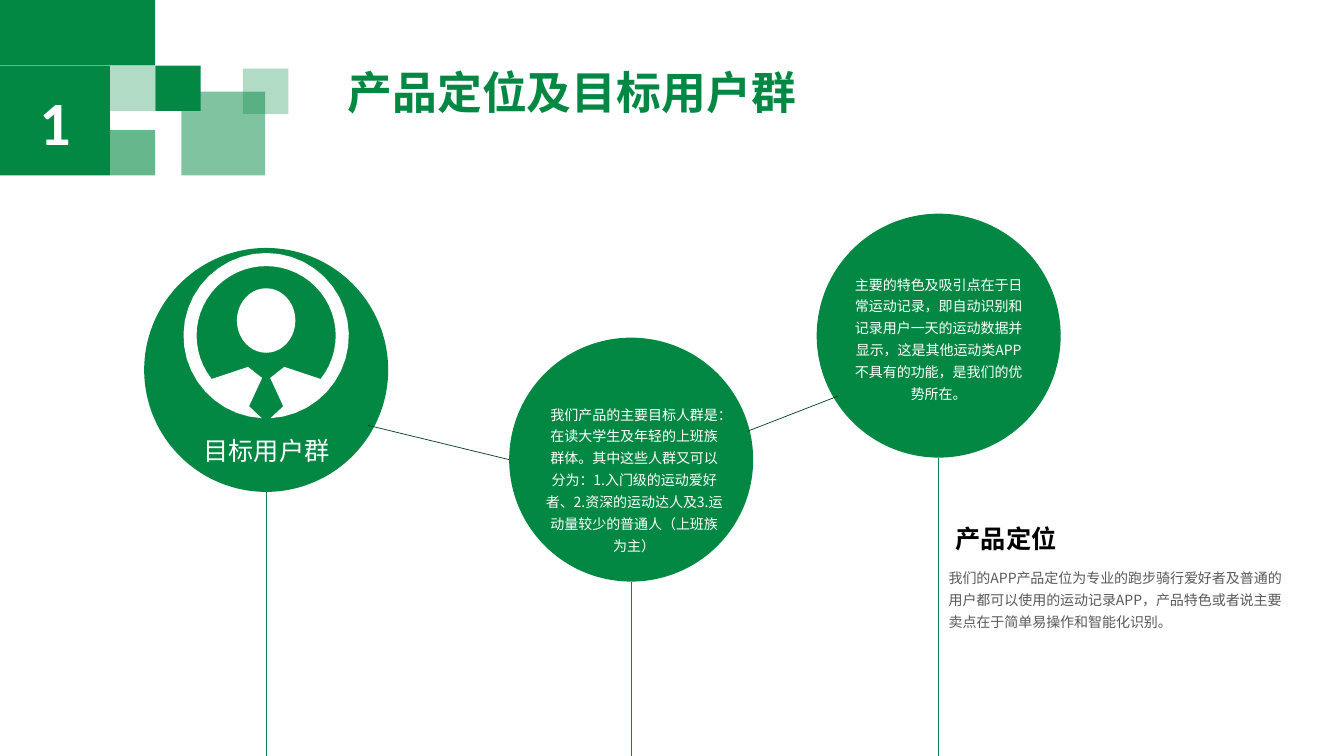
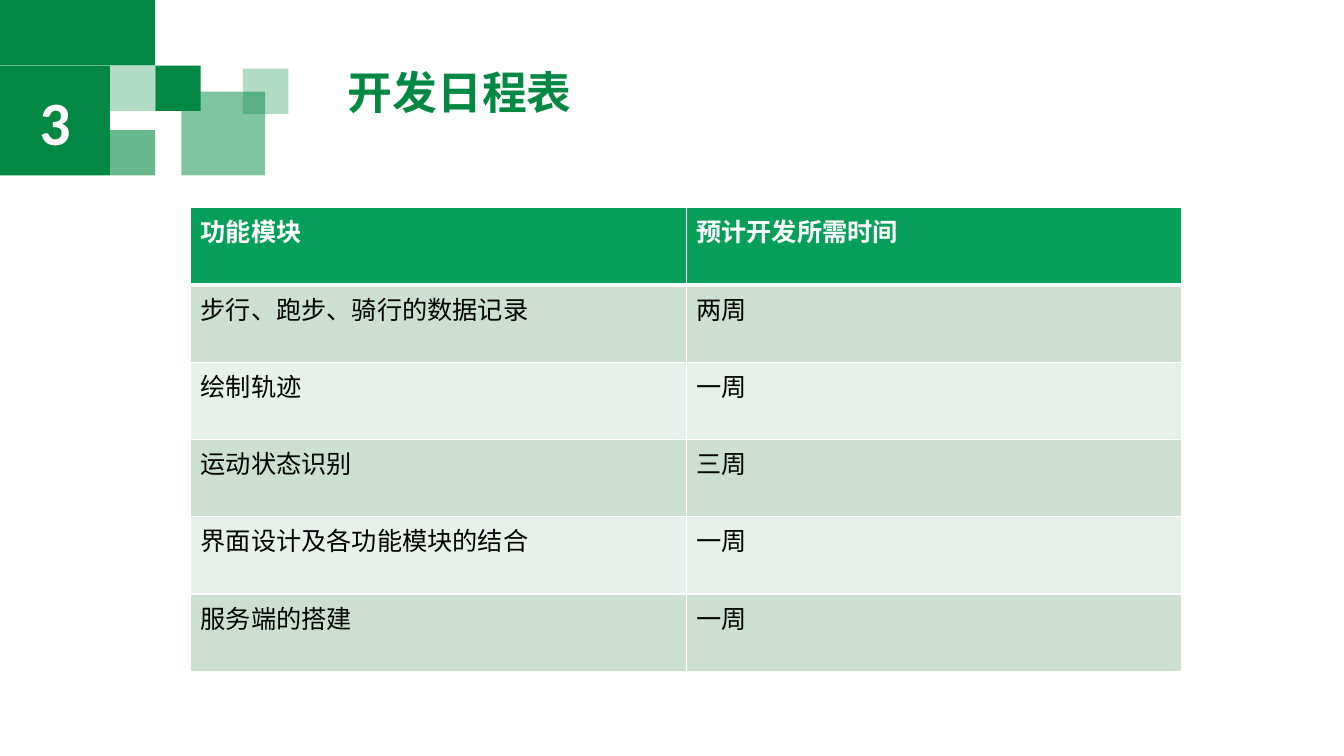
"""Build two slides of a sports app plan: its audience and its schedule."""
from dataclasses import dataclass
from math import cos, radians, sin

from lxml import etree
from pptx import Presentation
from pptx import util as u
from pptx.dml import color
from pptx.enum import shapes, text
from pptx.oxml import ns


@dataclass(frozen=True)
class Theme:
    """Colours, fonts and type sizes in points."""
    green: str = "028842"
    dark_green: str = "01411F"
    header: str = "059F59"
    bands: tuple[str, str] = ("CCDFD1", "E7F0EA")
    white: str = "FFFFFF"
    black: str = "000000"
    grey: str = "595959"
    chinese: str = "Noto Sans CJK SC"
    latin: str = "Calibri"
    number: int = 44
    title: int = 32
    label: int = 18
    body: int = 10


@dataclass(frozen=True)
class Area:
    """A rectangle in inches."""
    left: float
    top: float
    width: float
    height: float

    def lengths(self) -> list[u.Length]:
        """Return the rectangle as lengths."""
        return [u.Inches(n) for n in (self.left, self.top, self.width, self.height)]


@dataclass(frozen=True)
class Tile:
    """A header square and its opacity in percent."""
    area: Area
    opacity: int = 100


@dataclass(frozen=True)
class Style:
    """How a paragraph is set."""
    size: int
    colour: str
    font: str
    bold: bool = False
    align: text.PP_ALIGN = text.PP_ALIGN.LEFT
    spacing: float = 1.0


THEME = Theme()
LEFT, CENTRE = text.PP_ALIGN.LEFT, text.PP_ALIGN.CENTER
TITLE = Style(THEME.title, THEME.green, THEME.chinese, True, spacing=0.9)
NUMBER = Style(THEME.number, THEME.white, THEME.latin, True, CENTRE)
BUBBLE = Style(THEME.body, THEME.white, THEME.chinese, align=CENTRE, spacing=1.3)
BODY = Style(THEME.body, THEME.grey, THEME.chinese, spacing=1.3)
LABEL = Style(THEME.label, THEME.white, THEME.chinese)
HEADING = Style(THEME.label, THEME.black, THEME.latin, True, CENTRE)
HEAD_CELL = Style(THEME.label, THEME.white, THEME.latin, True)
BODY_CELL = Style(THEME.label, THEME.black, THEME.latin)

SQUARE = 0.45
TILES = (
    Tile(Area(0, 0, 1.54, 0.65)),
    Tile(Area(1.09, 0.65, SQUARE, SQUARE), 30),
    Tile(Area(1.54, 0.65, SQUARE, SQUARE)),
    Tile(Area(1.09, 1.29, SQUARE, SQUARE), 60),
    Tile(Area(1.8, 0.91, 0.83, 0.83), 50),
    Tile(Area(2.41, 0.68, SQUARE, SQUARE), 30),
)
PAGE_HEIGHT = 7.5
DIAMETER = 2.42
CIRCLES = ((1.43, 2.46), (5.05, 3.35), (8.1, 2.12))
LINKS = (((3.65, 4.22), (5.05, 4.56)), ((7.41, 4.28), (8.31, 3.93)))
NOTES = (
    (Area(5.31, 3.93, 1.96, 1.63), BUBBLE,
     "我们产品的主要目标人群是：在读大学生及年轻的上班族群体。其中这些人群又可以分为："
     "1.入门级的运动爱好者、2.资深的运动达人及3.运动量较少的普通人（上班族为主）"),
    (Area(8.33, 2.64, 1.96, 1.63), BUBBLE,
     "主要的特色及吸引点在于日常运动记录，即自动识别和记录用户一天的运动数据并显示，"
     "这是其他运动类APP不具有的功能，是我们的优势所在。"),
    (Area(9.31, 5.55, 3.55, 0.76), BODY,
     "我们的APP产品定位为专业的跑步骑行爱好者及普通的用户都可以使用的运动记录APP，"
     "产品特色或者说主要卖点在于简单易操作和智能化识别。"),
    (Area(8.76, 5.14, 2.44, 0.4), HEADING, "产品定位"),
    (Area(1.92, 4.27, 1.56, 0.4), LABEL, "目标用户群"),
)
SCHEDULE = (
    ("功能模块", "预计开发所需时间"),
    ("步行、跑步、骑行的数据记录", "两周"),
    ("绘制轨迹", "一周"),
    ("运动状态识别", "三周"),
    ("界面设计及各功能模块的结合", "一周"),
    ("服务端的搭建", "一周"),
)


def rgb(code: str) -> color.RGBColor:
    """Turn a hex code into a colour."""
    return color.RGBColor.from_string(code)


def write(frame, words: str, style: Style) -> None:
    """Put one styled paragraph into a text frame."""
    para = frame.paragraphs[0]
    para.text = words
    para.alignment = style.align
    para.line_spacing = style.spacing
    font = para.font
    font.size, font.bold, font.name = u.Pt(style.size), style.bold, style.font
    font.color.rgb = rgb(style.colour)
    defaults = para._p.pPr.find(ns.qn("a:defRPr"))
    etree.SubElement(defaults, ns.qn("a:ea"), typeface=THEME.chinese)


def add_text(page, area: Area, words: str, style: Style) -> None:
    """Add a wrapping text box."""
    box = page.shapes.add_textbox(*area.lengths())
    box.text_frame.word_wrap = True
    write(box.text_frame, words, style)


def paint(shape, colour: str, opacity: int = 100) -> None:
    """Give a shape a plain fill without line or shadow."""
    shape.shadow.inherit = False
    shape.line.fill.background()
    shape.fill.solid()
    shape.fill.fore_color.rgb = rgb(colour)
    if opacity < 100:
        tint = shape._element.spPr.find(".//" + ns.qn("a:srgbClr"))
        etree.SubElement(tint, ns.qn("a:alpha"), val=str(opacity * 1000))


def add_filled(page, kind: shapes.MSO_SHAPE, area: Area, opacity: int = 100):
    """Add a green preset shape."""
    shape = page.shapes.add_shape(kind, *area.lengths())
    paint(shape, THEME.green, opacity)
    return shape


def add_line(page, start: tuple, end: tuple, colour: str) -> None:
    """Add a thin straight line."""
    points = [u.Inches(n) for n in (*start, *end)]
    line = page.shapes.add_connector(shapes.MSO_CONNECTOR.STRAIGHT, *points)
    line.line.color.rgb = rgb(colour)
    line.line.width = u.Pt(0.5)
    etree.SubElement(line._element.spPr, ns.qn("a:effectLst"))


def arc(x: float, y: float, width: float, height: float, start: float,
        end: float, steps: int = 40) -> list[tuple[float, float]]:
    """List points on an elliptical arc given by its radii and degrees."""
    angles = [radians(start + (end - start) * i / steps) for i in range(steps + 1)]
    return [(x + width * cos(a), y + height * sin(a)) for a in angles]


def add_person(page) -> None:
    """Draw the round user symbol with collar and tie."""
    x, y = 2.64, 3.33
    right = [(0.17, 0.7), (0.04, 0.42), (0.18, 0.31)]
    left = [(-across, down) for across, down in reversed(right)]
    ring = (arc(x, y, 0.82, 0.82, 93, 447)
            + [(x + across, y + down) for across, down in right]
            + arc(x, y, 0.69, 0.69, 398.5, 141.5)
            + [(x + across, y + down) for across, down in left])
    head = arc(x, 3.18, 0.29, 0.32, 0, 360)
    outlines = [[(u.Inches(a), u.Inches(b)) for a, b in path] for path in (ring, head)]
    builder = page.shapes.build_freeform(*outlines[0][0])
    builder.add_line_segments(outlines[0][1:])
    builder.move_to(*outlines[1][0])
    builder.add_line_segments(outlines[1][1:])
    paint(builder.convert_to_shape(), THEME.white)


def add_page(deck, number: str, title: str):
    """Add a page with the tiled header, number and title."""
    page = deck.slides.add_slide(deck.slide_layouts[6])
    for tile in TILES:
        add_filled(page, shapes.MSO_SHAPE.RECTANGLE, tile.area, tile.opacity)
    add_text(page, Area(3.35, 0.65, 4.75, 0.6), title, TITLE)
    badge = add_filled(page, shapes.MSO_SHAPE.RECTANGLE, Area(0, 0.65, 1.09, 1.09))
    badge.text_frame.vertical_anchor = text.MSO_ANCHOR.MIDDLE
    write(badge.text_frame, number, NUMBER)
    return page


def add_audience(deck) -> None:
    """Add the page on positioning and target users."""
    page = add_page(deck, "1", "产品定位及目标用户群")
    for left, top in CIRCLES:
        middle = left + DIAMETER / 2
        add_line(page, (middle, PAGE_HEIGHT), (middle, top + DIAMETER), THEME.green)
        add_filled(page, shapes.MSO_SHAPE.OVAL, Area(left, top, DIAMETER, DIAMETER))
    add_person(page)
    for area, style, words in NOTES:
        add_text(page, area, words, style)
    for start, end in LINKS:
        add_line(page, start, end, THEME.dark_green)


def set_borders(cell, top: int, bottom: int) -> None:
    """Draw white cell borders with widths in points."""
    properties = cell._tc.get_or_add_tcPr()
    for side, width in (("L", 1), ("R", 1), ("T", top), ("B", bottom)):
        edge = etree.SubElement(properties, ns.qn(f"a:ln{side}"), w=str(u.Pt(width)))
        fill = etree.SubElement(edge, ns.qn("a:solidFill"))
        etree.SubElement(fill, ns.qn("a:srgbClr"), val=THEME.white)


def add_schedule(deck) -> None:
    """Add the page with the development schedule."""
    page = add_page(deck, "3", "开发日程表")
    area = Area(1.89, 2.06, 9.83, 4.6)
    table = page.shapes.add_table(len(SCHEDULE), 2, *area.lengths()).table
    for r, entries in enumerate(SCHEDULE):
        for c, words in enumerate(entries):
            cell = table.cell(r, c)
            set_borders(cell, 3 if r == 1 else 1, 3 if r == 0 else 1)
            cell.fill.solid()
            fill = THEME.bands[(r - 1) % 2] if r else THEME.header
            cell.fill.fore_color.rgb = rgb(fill)
            write(cell.text_frame, words, BODY_CELL if r else HEAD_CELL)


def main() -> None:
    """Build and save the deck."""
    deck = Presentation()
    deck.slide_width, deck.slide_height = u.Inches(13.33), u.Inches(PAGE_HEIGHT)
    add_audience(deck)
    add_schedule(deck)
    deck.save("out.pptx")


if __name__ == "__main__":
    main()
